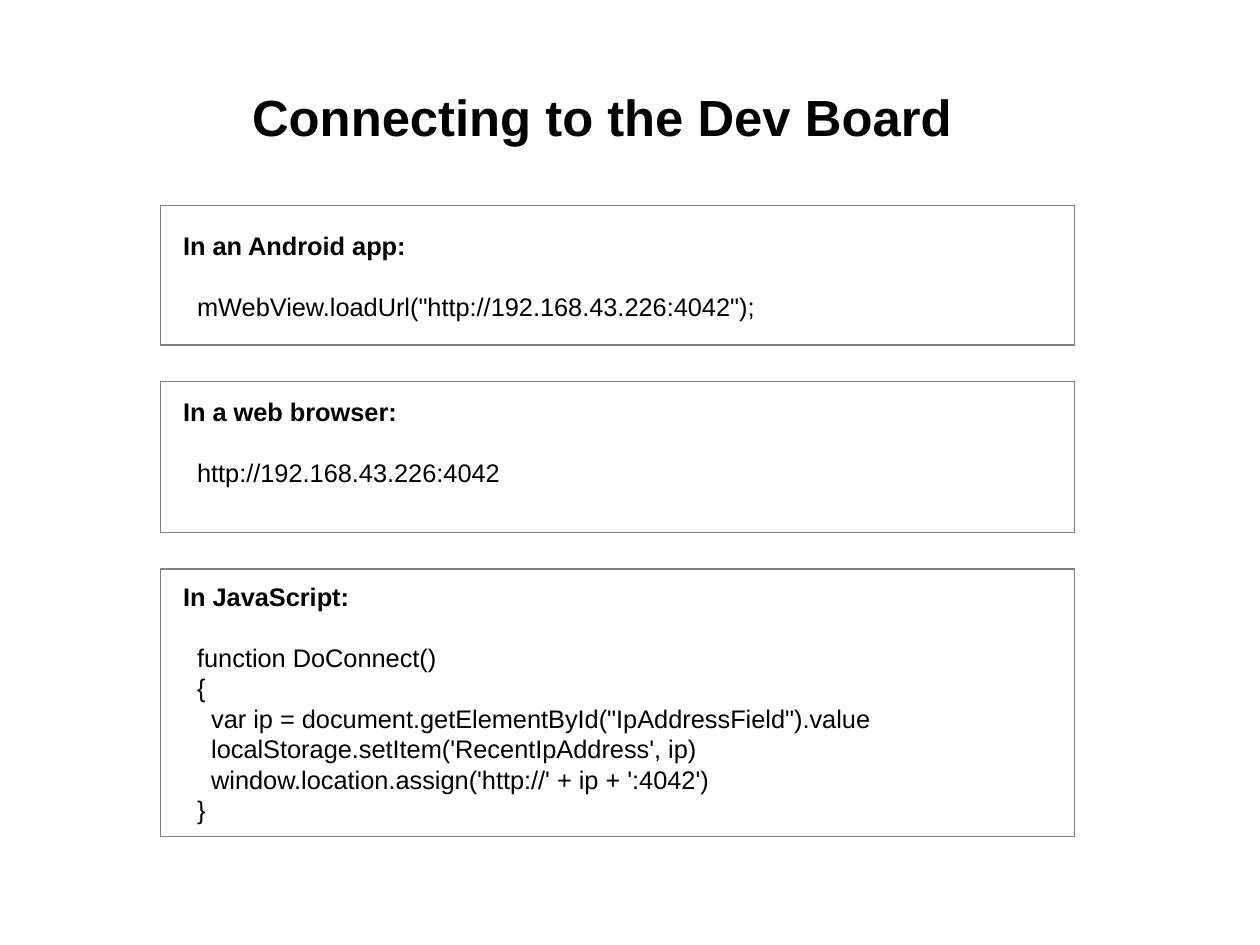
from dataclasses import dataclass

from pptx import Presentation
from pptx.dml.color import RGBColor
from pptx.enum.shapes import MSO_SHAPE as Preset
from pptx.enum.text import MSO_ANCHOR as Anchor, PP_ALIGN as Align
from pptx.shapes.autoshape import Shape
from pptx.slide import Slide
from pptx.util import Cm, Inches, Pt

SLIDE_WIDTH = Cm(28)
SLIDE_HEIGHT = Cm(21)


@dataclass(frozen=True)
class Theme:
    font: str = "Arial"
    ink: RGBColor = RGBColor(0, 0, 0)
    paper: RGBColor = RGBColor(255, 255, 255)
    border: RGBColor = RGBColor(128, 128, 128)
    title_size: Pt = Pt(32)
    body_size: Pt = Pt(16)
    line_height: Pt = Pt(19.2)


@dataclass(frozen=True)
class Area:
    left: float
    top: float
    width: float
    height: float


@dataclass(frozen=True)
class Example:
    heading: str
    code: tuple[str, ...]
    top: float
    height: float
    lines_below: int = 0


THEME = Theme()
TITLE_AREA = Area(6.53, 7.5, 82.58, 9.67)
EXAMPLE_LEFT = 12.72
EXAMPLE_WIDTH = 72.57

EXAMPLES = (
    Example(
        "In an Android app:",
        ('  mWebView.loadUrl("http://192.168.43.226:4042");',),
        top=21.77,
        height=14.75,
    ),
    Example(
        "In a web browser:",
        ("  http://192.168.43.226:4042",),
        top=40.35,
        height=16.03,
        lines_below=1,
    ),
    Example(
        "In JavaScript:",
        (
            "  function DoConnect()",
            "  {",
            '    var ip = document.getElementById("IpAddressField").value',
            "    localStorage.setItem('RecentIpAddress', ip)",
            "    window.location.assign('http://' + ip + ':4042')",
            "  }",
        ),
        top=60.22,
        height=28.3,
    ),
)


def add_box(page: Slide, area: Area, lines: tuple[str, ...], size: Pt, align: Align) -> Shape:
    box = page.shapes.add_shape(
        Preset.RECTANGLE,
        round(SLIDE_WIDTH * area.left / 100),
        round(SLIDE_HEIGHT * area.top / 100),
        round(SLIDE_WIDTH * area.width / 100),
        round(SLIDE_HEIGHT * area.height / 100),
    )
    box.shadow.inherit = False
    box.fill.solid()
    box.fill.fore_color.rgb = THEME.paper
    box.line.fill.background()
    frame = box.text_frame
    frame.text = "\n".join(lines)
    frame.word_wrap = True
    frame.vertical_anchor = Anchor.MIDDLE
    for index, para in enumerate(frame.paragraphs):
        para.alignment = align
        for span in para.runs:
            span.font.name = THEME.font
            span.font.size = size
            span.font.bold = index == 0
            span.font.color.rgb = THEME.ink
    return box


def add_example(page: Slide, example: Example) -> None:
    area = Area(EXAMPLE_LEFT, example.top, EXAMPLE_WIDTH, example.height)
    lines = (example.heading, *example.code)
    box = add_box(page, area, lines, THEME.body_size, Align.LEFT)
    box.line.color.rgb = THEME.border
    box.line.width = Pt(0)
    frame = box.text_frame
    frame.margin_left = Inches(0.2)
    frame.margin_bottom = Inches(0.05) + example.lines_below * THEME.line_height
    for para in frame.paragraphs:
        para.line_spacing = THEME.line_height
    frame.paragraphs[1].space_before = THEME.line_height


def main() -> None:
    deck = Presentation()
    deck.slide_width = SLIDE_WIDTH
    deck.slide_height = SLIDE_HEIGHT
    page = deck.slides.add_slide(deck.slide_layouts[6])
    add_box(page, TITLE_AREA, ("Connecting to the Dev Board",), THEME.title_size, Align.CENTER)
    for example in EXAMPLES:
        add_example(page, example)
    deck.save("out.pptx")


if __name__ == "__main__":
    main()
